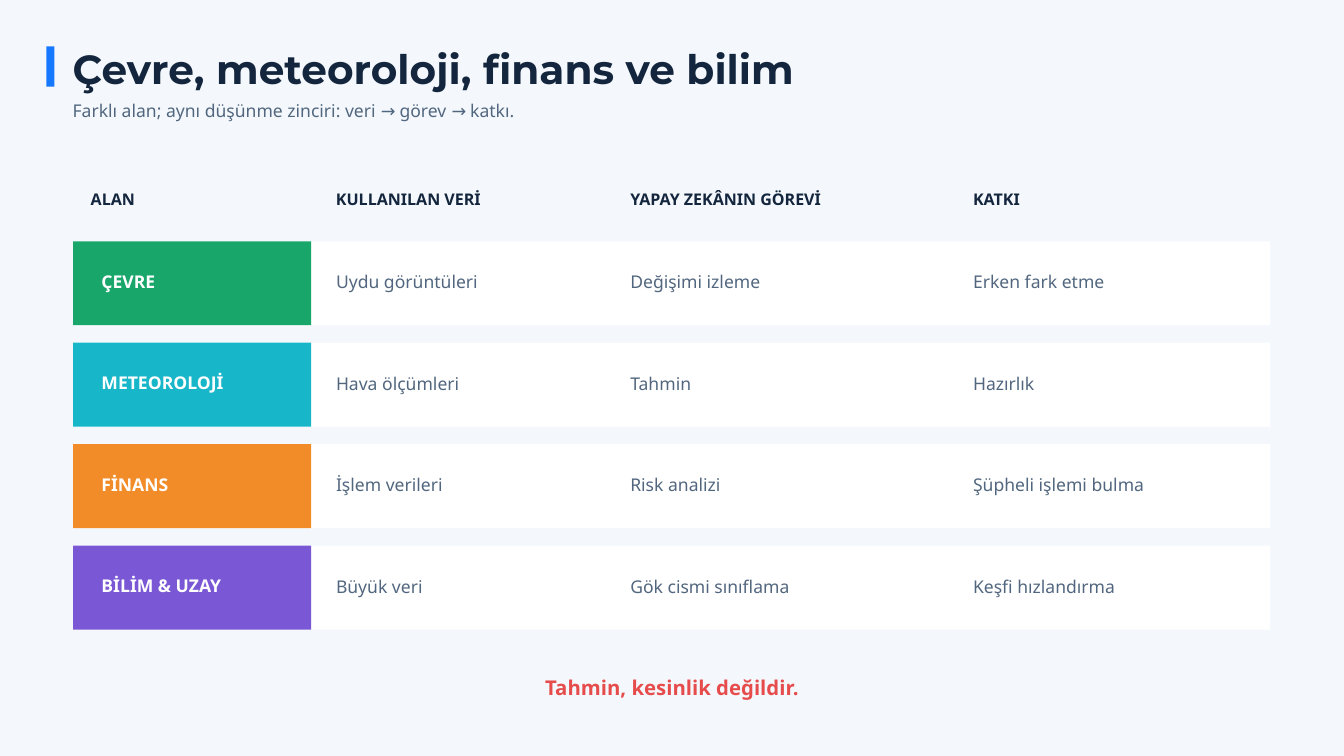
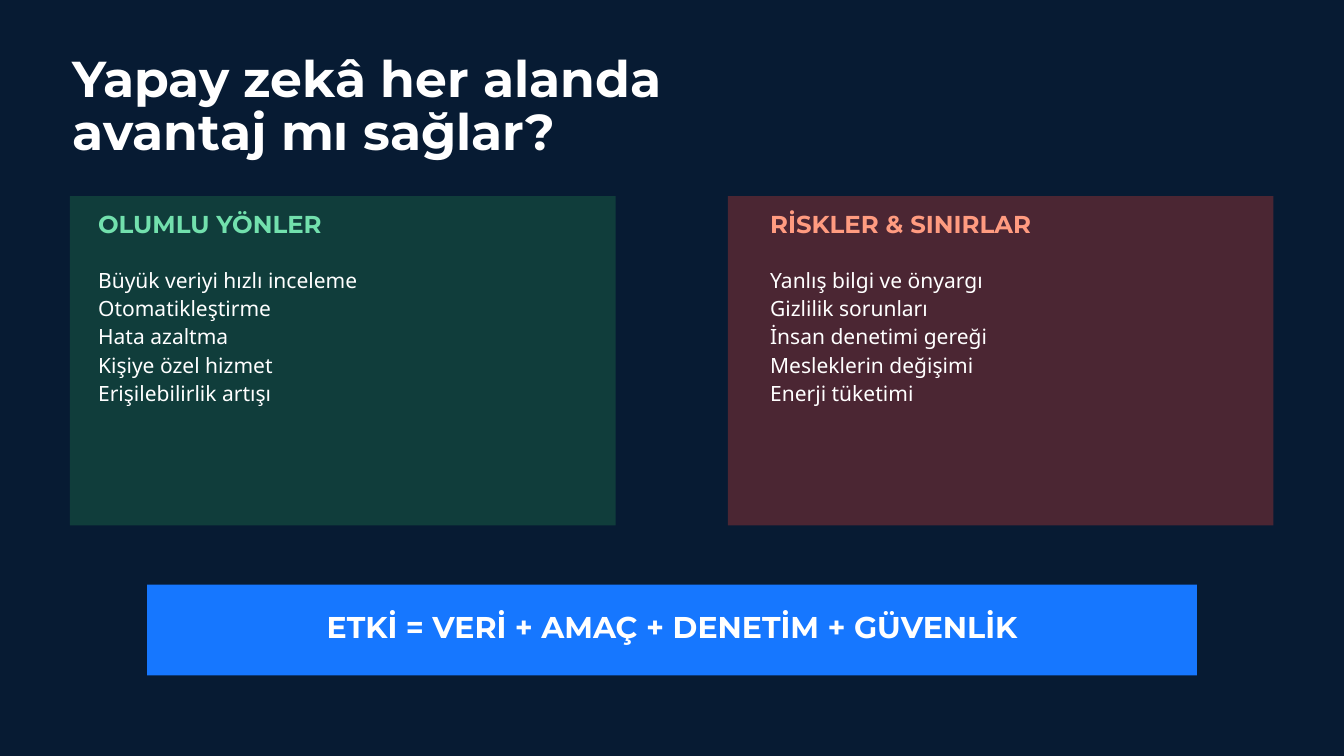
from dataclasses import dataclass

from pptx import Presentation
from pptx.dml.color import RGBColor
from pptx.enum.shapes import MSO_SHAPE as Shape
from pptx.enum.text import MSO_AUTO_SIZE as AutoSize, PP_ALIGN as Align
from pptx.util import Inches, Pt

# Content
FIELDS_TITLE = "Çevre, meteoroloji, finans ve bilim"
FIELDS_SUBTITLE = "Farklı alan; aynı düşünme zinciri: veri → görev → katkı."
FIELDS_HEADERS = ["ALAN", "KULLANILAN VERİ", "YAPAY ZEKÂNIN GÖREVİ", "KATKI"]
FIELDS_ROWS = [
    ("ÇEVRE", "19A66A", ["Uydu görüntüleri", "Değişimi izleme", "Erken fark etme"]),
    ("METEOROLOJİ", "18B6C9", ["Hava ölçümleri", "Tahmin", "Hazırlık"]),
    ("FİNANS", "F28C28", ["İşlem verileri", "Risk analizi", "Şüpheli işlemi bulma"]),
    ("BİLİM & UZAY", "7957D5", ["Büyük veri", "Gök cismi sınıflama", "Keşfi hızlandırma"]),
]
FIELDS_WARNING = "Tahmin, kesinlik değildir."

BALANCE_TITLE = ["Yapay zekâ her alanda", "avantaj mı sağlar?"]
# Panel left, text left, panel fill, heading colour, heading, points
BALANCE_PANELS = [
    (1.04, 1.46, "103D3B", "72E0AD", "OLUMLU YÖNLER",
     ["Büyük veriyi hızlı inceleme", "Otomatikleştirme", "Hata azaltma",
      "Kişiye özel hizmet", "Erişilebilirlik artışı"]),
    (10.83, 11.46, "4B2633", "FF9B80", "RİSKLER & SINIRLAR",
     ["Yanlış bilgi ve önyargı", "Gizlilik sorunları", "İnsan denetimi gereği",
      "Mesleklerin değişimi", "Enerji tüketimi"]),
]
BALANCE_FORMULA = "ETKİ = VERİ + AMAÇ + DENETİM + GÜVENLİK"


@dataclass(frozen=True)
class TextStyle:
    font: str
    size: float
    line: float
    bold: bool = False


class Theme:
    light, dark, white = "F4F8FC", "071B33", "FFFFFF"
    ink, muted, blue, red = "14263D", "52677F", "1677FF", "E64C4C"
    heading, body = "Montserrat", "Noto Sans"

    title = TextStyle(heading, 43.5, 45.7, True)
    big_title = TextStyle(heading, 54, 56.7, True)
    panel_heading = TextStyle(heading, 26.2, 27.6, True)
    formula = TextStyle(heading, 32.2, 33.9, True)
    text = TextStyle(body, 18.8, 25.3)
    points = TextStyle(body, 22.5, 30.4)
    column_header = TextStyle(body, 17.2, 19.8, True)
    row_label = TextStyle(body, 18.8, 21.6, True)
    warning = TextStyle(body, 21.8, 25, True)


# Shared layout, in inches
SLIDE_WIDTH, SLIDE_HEIGHT = 20, 11.25
TITLE_LEFT, TITLE_WIDTH = 1.08, 15.62


def new_slide(presentation, background):
    slide = presentation.slides.add_slide(presentation.slide_layouts[6])
    fill = slide.background.fill
    fill.solid()
    fill.fore_color.rgb = RGBColor.from_string(background)
    return slide


def add_block(slide, left, top, width, height, color):
    shape = slide.shapes.add_shape(
        Shape.RECTANGLE, Inches(left), Inches(top), Inches(width), Inches(height))
    shape.shadow.inherit = False
    shape.fill.solid()
    shape.fill.fore_color.rgb = RGBColor.from_string(color)
    shape.line.fill.background()


def add_text(slide, lines, left, top, width, style, color, align=Align.LEFT):
    """Add a text box, one paragraph a line, as tall as its lines."""
    lines = [lines] if isinstance(lines, str) else lines
    box = slide.shapes.add_textbox(
        Inches(left), Inches(top), Inches(width), Pt(style.line * len(lines)))
    frame = box.text_frame
    frame.margin_left = frame.margin_right = frame.margin_top = frame.margin_bottom = 0
    frame.word_wrap = True
    frame.auto_size = AutoSize.SHAPE_TO_FIT_TEXT
    frame.text = "\n".join(lines)
    for paragraph in frame.paragraphs:
        paragraph.alignment = align
        paragraph.line_spacing = Pt(style.line)
        for run in paragraph.runs:
            run.font.name = style.font
            run.font.size = Pt(style.size)
            run.font.bold = style.bold
            run.font.color.rgb = RGBColor.from_string(color)


def build_fields_slide(presentation):
    slide = new_slide(presentation, Theme.light)

    # Title with accent bar
    add_text(slide, FIELDS_TITLE, TITLE_LEFT, 0.74, TITLE_WIDTH, Theme.title, Theme.ink)
    add_text(slide, FIELDS_SUBTITLE, TITLE_LEFT, 1.45, 15.42, Theme.text, Theme.muted)
    add_block(slide, 0.69, 0.69, 0.12, 0.6, Theme.blue)

    # Column headers
    column_lefts = [5, 9.38, 14.48]
    header_widths = [3.12, 3.96, 4.48, 4.06]
    for header, left, width in zip(FIELDS_HEADERS, [1.35, *column_lefts], header_widths):
        add_text(slide, header, left, 2.83, width, Theme.column_header, Theme.ink)

    # One band for each field
    first_top, row_step, row_height = 3.59, 1.51, 1.25
    cell_widths = [3.75, 4.17, 3.75]
    for index, (label, color, cells) in enumerate(FIELDS_ROWS):
        top = first_top + index * row_step
        add_block(slide, 1.09, top, 17.81, row_height, Theme.white)
        add_block(slide, 1.09, top, 3.54, row_height, color)
        add_text(slide, label, 1.51, top + 0.45, 2.81, Theme.row_label, Theme.white)
        for cell, left, width in zip(cells, column_lefts, cell_widths):
            add_text(slide, cell, left, top + 0.41, width, Theme.text, Theme.muted)

    # Closing warning
    width = 6.46
    add_text(slide, FIELDS_WARNING, (SLIDE_WIDTH - width) / 2, 10.06, width,
             Theme.warning, Theme.red, Align.CENTER)


def build_balance_slide(presentation):
    slide = new_slide(presentation, Theme.dark)
    add_text(slide, BALANCE_TITLE, TITLE_LEFT, 0.81, TITLE_WIDTH,
             Theme.big_title, Theme.white)

    # Benefits and risks
    for left, text_left, fill, accent, heading, points in BALANCE_PANELS:
        add_block(slide, left, 2.92, 8.12, 4.9, fill)
        add_text(slide, heading, text_left, 3.17, 7.08, Theme.panel_heading, accent)
        add_text(slide, points, text_left, 3.93, 7.19, Theme.points, Theme.white)

    # Formula band
    band_width, formula_width = 15.62, 14.58
    add_block(slide, (SLIDE_WIDTH - band_width) / 2, 8.7, band_width, 1.35, Theme.blue)
    add_text(slide, BALANCE_FORMULA, (SLIDE_WIDTH - formula_width) / 2, 9.12,
             formula_width, Theme.formula, Theme.white, Align.CENTER)


def main():
    presentation = Presentation()
    presentation.slide_width = Inches(SLIDE_WIDTH)
    presentation.slide_height = Inches(SLIDE_HEIGHT)
    build_fields_slide(presentation)
    build_balance_slide(presentation)
    presentation.save("out.pptx")


if __name__ == "__main__":
    main()
